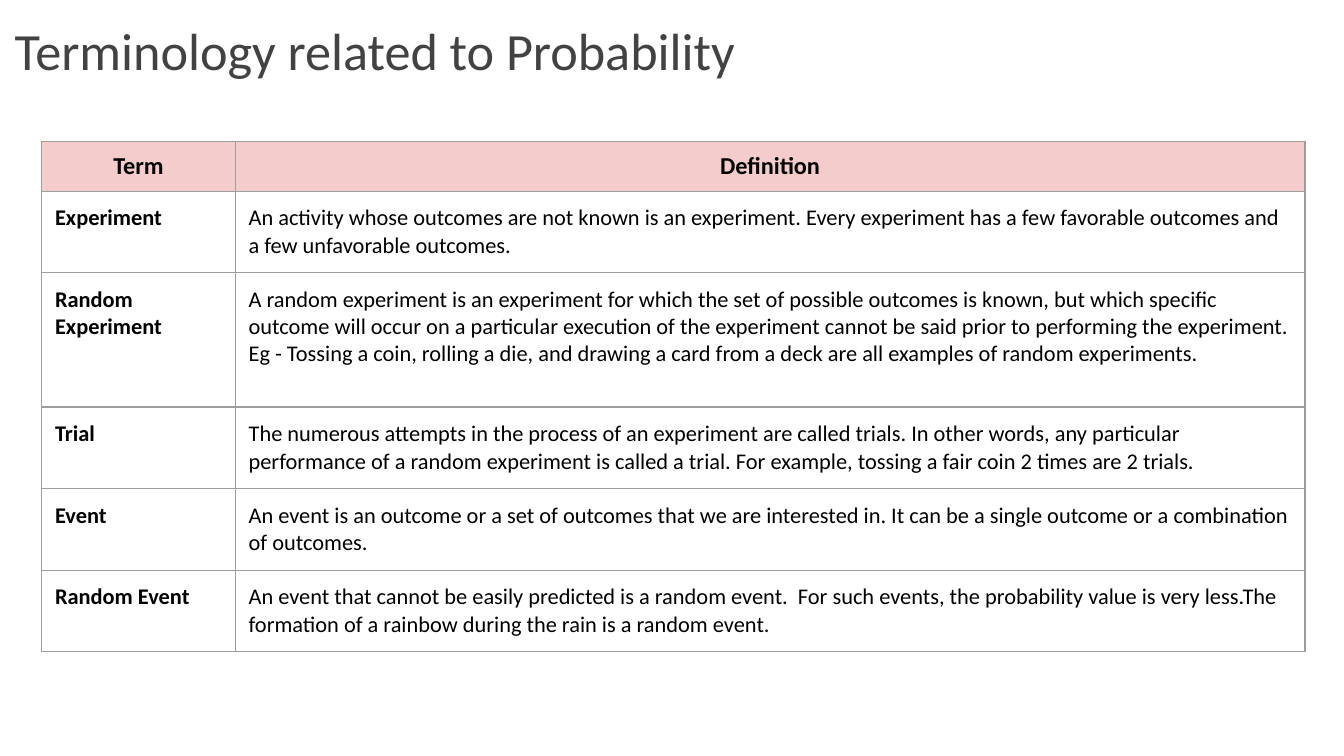
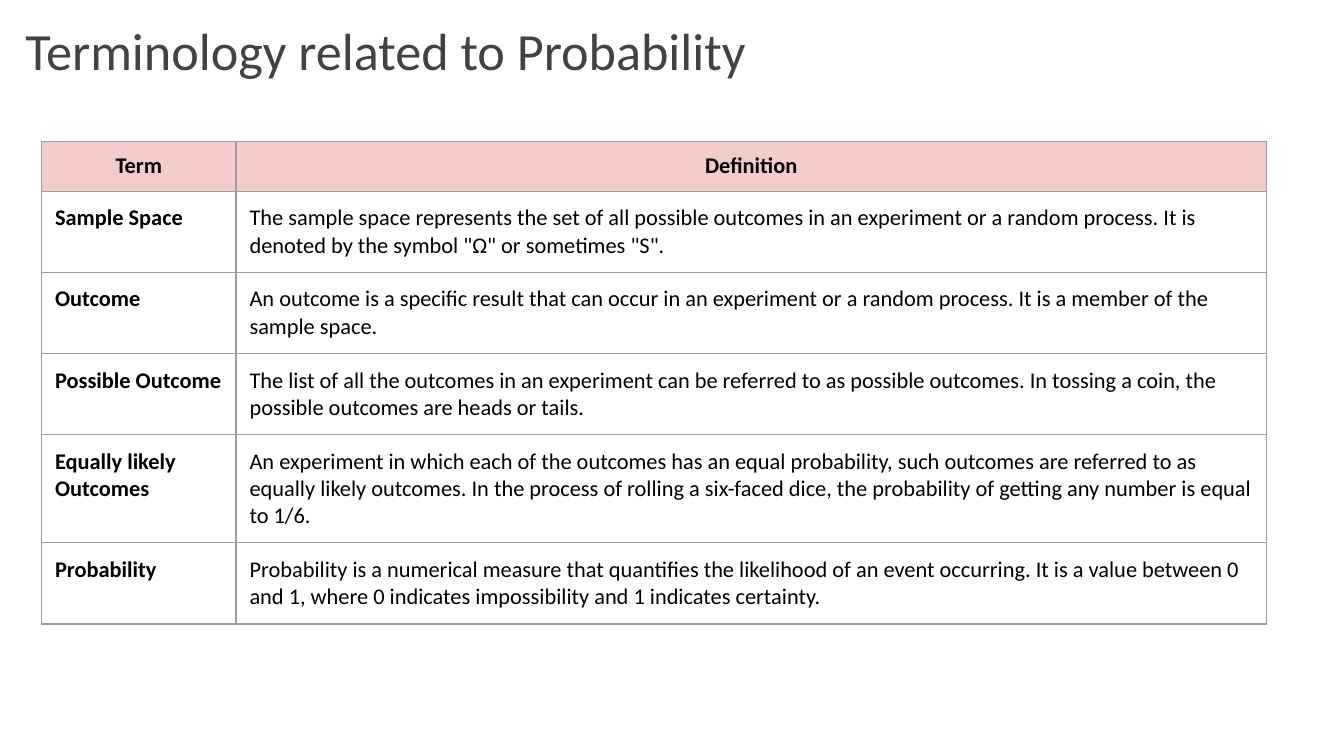
"""Build two slides that define the terms of probability."""
from lxml.etree import SubElement as Sub
from pptx import Presentation
from pptx.dml.color import RGBColor
from pptx.enum.text import MSO_ANCHOR as Anchor, PP_ALIGN as Align
from pptx.oxml.ns import qn
from pptx.util import Pt

FONT = "Calibri"
WHITE = RGBColor(0xFF, 0xFF, 0xFF)
BLACK = RGBColor(0, 0, 0)
GREY = RGBColor(0x42, 0x42, 0x42)
RULE = RGBColor(0x9E, 0x9E, 0x9E)
PINK = RGBColor(0xF4, 0xCC, 0xCC)

TITLE = "Terminology related to Probability"
HEADS = ("Term", "Definition")
PAD = 7.2
TOP = 75.6
LEFT = 22.3
HEAD = 26.8
ROW = 43.5

BASICS = [
    ("Experiment", "An activity whose outcomes are not known is an experiment. "
     "Every experiment has a few favorable outcomes and a few unfavorable outcomes.", ROW),
    ("Random Experiment", "A random experiment is an experiment for which the set of "
     "possible outcomes is known, but which specific outcome will occur on a particular "
     "execution of the experiment cannot be said prior to performing the experiment. "
     "Eg - Tossing a coin, rolling a die, and drawing a card from a deck are all "
     "examples of random experiments.", 72),
    ("Trial", "The numerous attempts in the process of an experiment are called trials. "
     "In other words, any particular performance of a random experiment is called a trial. "
     "For example, tossing a fair coin 2 times are 2 trials.", ROW),
    ("Event", "An event is an outcome or a set of outcomes that we are interested in. "
     "It can be a single outcome or a combination of outcomes.", ROW),
    ("Random Event", "An event that cannot be easily predicted is a random event.  "
     "For such events, the probability value is very less.The formation of a rainbow "
     "during the rain is a random event.", ROW),
]
RESULTS = [
    ("Sample Space", "The sample space represents the set of all possible outcomes in an "
     "experiment or a random process. It is denoted by the symbol \"Ω\" or sometimes \"S\".",
     ROW),
    ("Outcome", "An outcome is a specific result that can occur in an experiment or a "
     "random process. It is a member of the sample space.", ROW),
    ("Possible Outcome", "The list of all the outcomes in an experiment can be referred to "
     "as possible outcomes. In tossing a coin, the possible outcomes are heads or tails.",
     ROW),
    ("Equally likely Outcomes", "An experiment in which each of the outcomes has an equal "
     "probability, such outcomes are referred to as equally likely outcomes. In the process "
     "of rolling a six-faced dice, the probability of getting any number is equal to 1/6.",
     58),
    ("Probability", "Probability is a numerical measure that quantifies the likelihood of "
     "an event occurring. It is a value between 0 and 1, where 0 indicates impossibility "
     "and 1 indicates certainty.", ROW),
]


def style(para, size, color, bold=False):
    """Format every run of a paragraph."""
    for run in para.runs:
        font = run.font
        font.name, font.size, font.bold = FONT, Pt(size), bold
        font.color.rgb = color


def inset(item, pad):
    """Give a cell or text frame equal margins."""
    item.margin_left = item.margin_right = Pt(pad)
    item.margin_top = item.margin_bottom = Pt(pad)


def border(cell):
    """Draw a thin rule on all four sides of a cell."""
    props = cell._tc.get_or_add_tcPr()
    for side in "LRTB":
        line = Sub(props, qn(f"a:ln{side}"), w=str(Pt(0.75)))
        fill = Sub(line, qn("a:solidFill"))
        Sub(fill, qn("a:srgbClr"), val=str(RULE))


def write(cell, text, size, bold, fill, head):
    """Fill one table cell and style it as head or body."""
    border(cell)
    if fill is None:
        cell.fill.background()
    else:
        cell.fill.solid()
        cell.fill.fore_color.rgb = fill
    inset(cell, 0 if head else PAD)
    cell.vertical_anchor = Anchor.MIDDLE if head else Anchor.TOP
    cell.text_frame.text = text
    para = cell.text_frame.paragraphs[0]
    para.alignment = Align.CENTER if head else Align.LEFT
    style(para, size, BLACK, bold)


def title(slide, left, top, width, height):
    """Place the slide title in its box."""
    box = slide.shapes.add_textbox(Pt(left), Pt(top), Pt(width), Pt(height))
    box.fill.solid()
    box.fill.fore_color.rgb = WHITE
    frame = box.text_frame
    frame.word_wrap = True
    frame.vertical_anchor = Anchor.BOTTOM
    inset(frame, PAD)
    frame.text = TITLE
    para = frame.paragraphs[0]
    para.line_spacing = 1.15
    para.space_after = Pt(16)
    style(para, 28, GREY)


def glossary(slide, left, top, cols, terms, size):
    """Place the table of terms with its head row."""
    tall = [HEAD] + [term[2] for term in terms]
    table = slide.shapes.add_table(len(tall), len(cols), Pt(left), Pt(top),
                                   Pt(sum(cols)), Pt(sum(tall))).table
    table.first_row = table.horz_banding = False
    for col, width in zip(table.columns, cols):
        col.width = Pt(width)
    for row, height in zip(table.rows, tall):
        row.height = Pt(height)
    for c, text in enumerate(HEADS):
        write(table.cell(0, c), text, size, True, PINK, True)
    for r, (term, text, _) in enumerate(terms, 1):
        write(table.cell(r, 0), term, 12, True, WHITE, False)
        write(table.cell(r, 1), text, 12, False, None, False)


def page(deck, left, cols, terms, size):
    """Add one slide with a title and a table of terms."""
    slide = deck.slides.add_slide(deck.slide_layouts[6])
    glossary(slide, LEFT, TOP, cols, terms, size)
    title(slide, left, 5, 671, 45.4)


def main():
    """Build and save the deck."""
    deck = Presentation()
    deck.slide_width, deck.slide_height = Pt(720), Pt(405)
    page(deck, 0.7, (103.7, 573.1), BASICS, 13)
    page(deck, 6.5, (104.2, 552), RESULTS, 12)
    deck.save("out.pptx")


if __name__ == "__main__":
    main()
